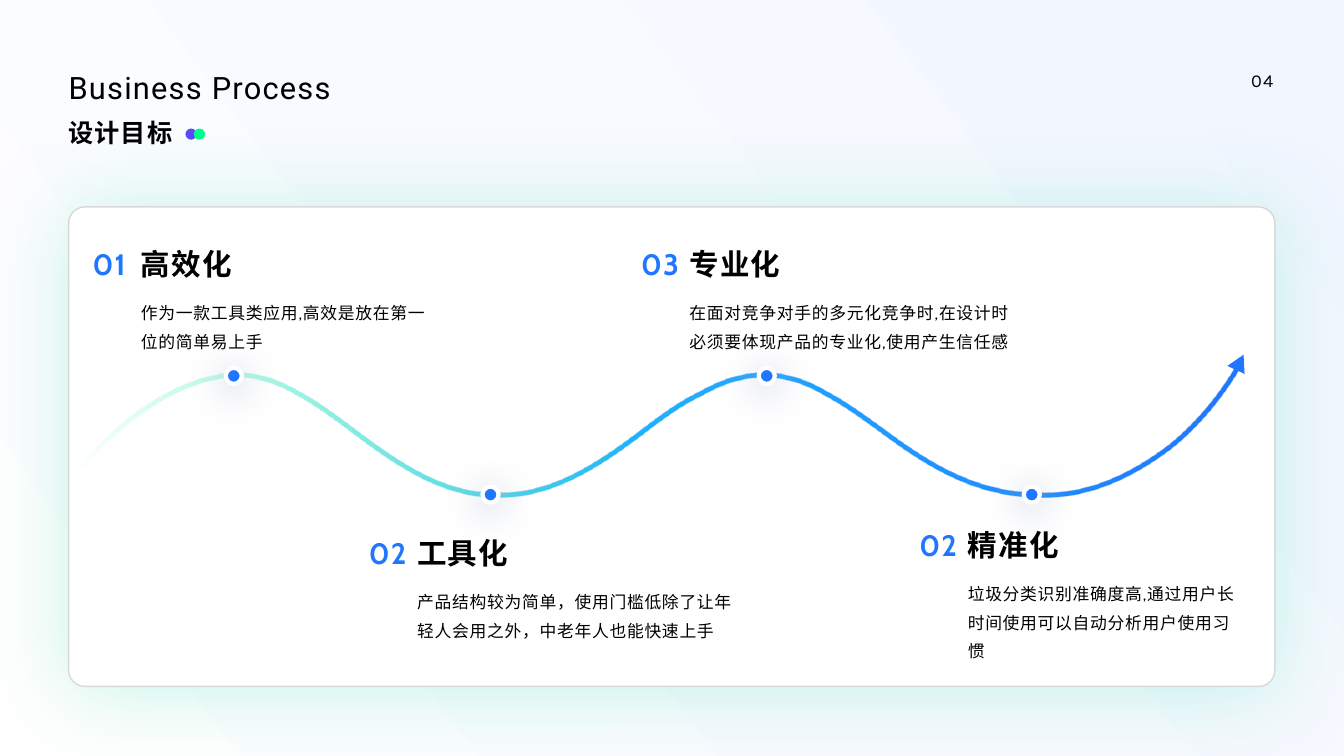
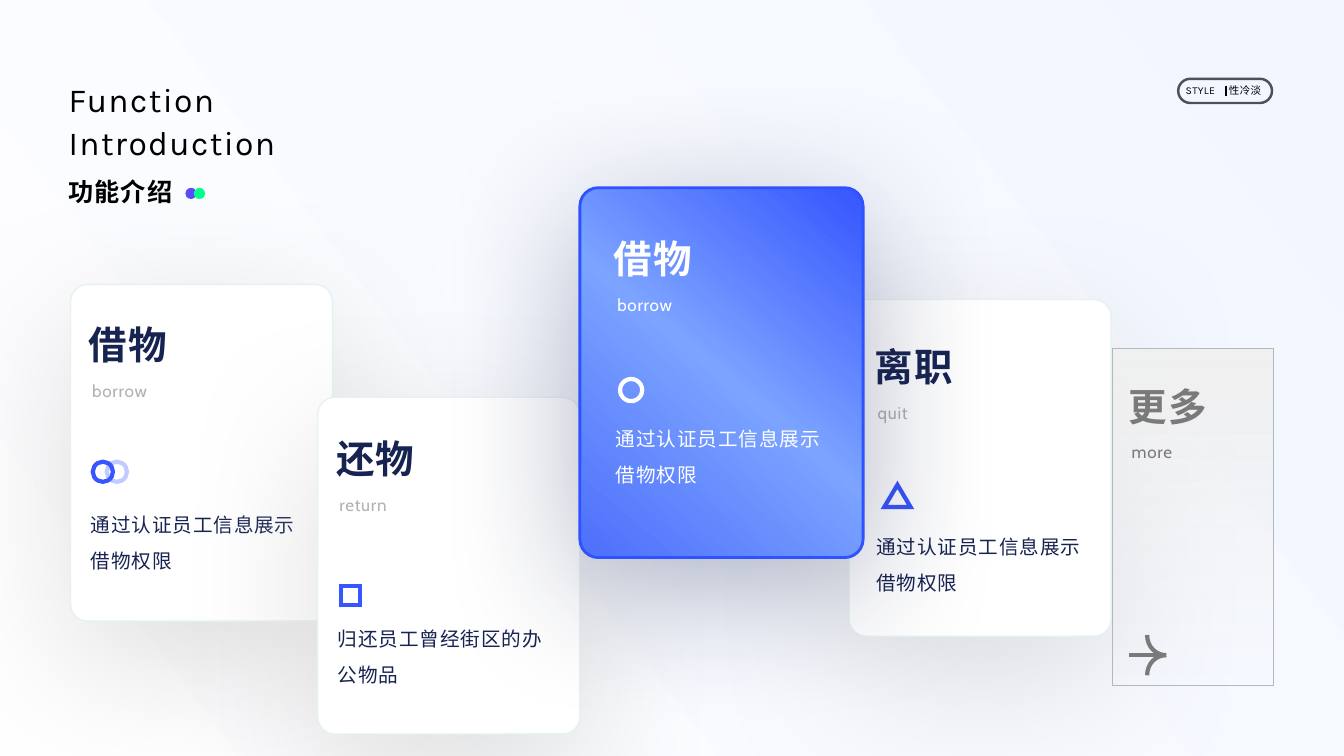
"""Build two slides: a wave of design goals and a row of function cards."""
import math

import pptx
import pptx.dml.color
import pptx.enum.lang
import pptx.enum.shapes
import pptx.enum.text
import pptx.oxml
import pptx.oxml.ns
import pptx.util

Pt = pptx.util.Pt
qn = pptx.oxml.ns.qn
SHAPE = pptx.enum.shapes.MSO_SHAPE
ALIGN = pptx.enum.text.PP_ALIGN

COLORS = {
    "black": "000000", "white": "FFFFFF", "blue": "2176FF", "royal": "3756FF",
    "navy": "172350", "silver": "B1B1B1", "gray": "7A7A7A", "violet": "594AFA",
    "green": "01FF8C", "panel_line": "D9D9D9", "card_line": "E6F1F1",
    "more_line": "B4B8BC", "hero_line": "2F52FF", "pill_line": "4E5059",
    "mint": "5AE0BB", "node_shadow": "ABB8D5", "card_shadow": "BFBFBF",
    "sky": "F1F6FF", "pale": "F8FAFF", "wave_green": "00FF8B",
    "wave_cyan": "20B1FE", "wave_blue": "2075FE", "hero_deep": "3655FF",
    "hero_light": "7BA3FF", "hero_end": "4D6FFC", "more_top": "F1F1F1",
    "more_end": "F2F2F2",
}

STYLES = {
    "process_title": dict(font="Roboto", size=22, spacing=0.9, line=25.5),
    "function_title": dict(font="Karla", size=24, spacing=1, line=30.6),
    "subtitle": dict(font="Cabin", size=18, spacing=0.7, line=21, bold=True),
    "page": dict(font="Karla", size=13, spacing=0.9, line=15),
    "goal": dict(font="Cabin", size=21.1, spacing=0.8, line=24.5, bold=True),
    "goal_text": dict(font="Cabin", size=12, spacing=0.5, line=20.5),
    "card_name": dict(font="Cabin", size=27.5, spacing=1.1, line=32, bold=True),
    "card_label": dict(font="Cabin", size=12.2, spacing=0.5, line=14.5),
    "card_text": dict(font="Cabin", size=14, spacing=0.6, line=25.8),
    "pill": dict(font="Karla", size=7.5, spacing=0.2, line=9),
}

GRADIENTS = {
    "background": (143, [(0, "sky", 100), (50, "pale", 100), (100, "white", 100)]),
    "wave": (355, [(0, "wave_green", 0), (48, "wave_cyan", 100), (100, "wave_blue", 100)]),
    "hero": (130, [(0, "hero_deep", 100), (50, "hero_light", 100), (100, "hero_end", 100)]),
    "more": (90, [(0, "more_top", 100), (50, "more_top", 50), (100, "more_end", 0)]),
}

SHADOWS = {
    "panel": ("mint", 33, 62.2, 3),
    "node": ("node_shadow", 100, 26.9, 4),
    "card": ("card_shadow", 48, 100, 29.3),
    "hero": ("navy", 33, 100, 20.6),
}

GOALS = [
    ("01", "高效化", "作为一款工具类应用,高效是放在第一位的简单易上手", 66.2, 176.4, 26, 207),
    ("02", "工具化", "产品结构较为简单，使用门槛低除了让年轻人会用之外，中老年人也能快速上手",
     263.5, 383, 30, 229),
    ("03", "专业化", "在面对竞争对手的多元化竞争时,在设计时必须要体现产品的专业化,使用产生信任感",
     458, 176.4, 30, 229),
    ("02", "精准化", "垃圾分类识别准确度高,通过用户长时间使用可以自动分析用户使用习惯",
     656.8, 377.2, 30, 199),
]
NODES = [(167, 268.5), (350.4, 353.3), (547.7, 268.5), (737, 353.3)]
NODE_SIZE = 11.5
WAVE = [
    (57.5, 334.5),
    (66, 324), (82, 307), (101.5, 293.5),
    (121.5, 279.5), (146, 268), (170, 268),
    (185, 268), (199.5, 273), (213.8, 281.5),
    (227.5, 288.7), (242, 300), (257, 311),
    (286, 332.6), (317.5, 353.7), (355.7, 353.7),
    (394.6, 353.7), (426.2, 332.6), (455.4, 311),
    (470, 300), (484.5, 288.7), (500, 281.5),
    (515, 273), (529, 268), (545.8, 268),
    (561.6, 268), (576.4, 273), (590.4, 281.5),
    (605, 289), (620, 300.5), (634.7, 311),
    (664.6, 332.6), (697.7, 353.7), (744.5, 353.7),
    (780, 353.7), (810, 338.4), (835.6, 319),
    (859, 300.5), (875.5, 277), (884.2, 262),
]
WAVE_WIDTH = 3.5
WAVE_TIP = [(888.3, 253.4), (889, 267.1), (876.7, 261.4)]

CARD_SIZE = (187.2, 240.5)
PERMISSION = "通过认证员工信息展示借物权限"
CARDS = [
    dict(name="借物", label="borrow", text=PERMISSION, at=(50.4, 203.2), inset=(13, 27.2),
         icons=[(SHAPE.OVAL, 12.9, 99.4, 14.4, 14.4, 30), (SHAPE.OVAL, 2.9, 99.4, 14.4, 14.4, 100)]),
    dict(name="还物", label="return", text="归还员工曾经街区的办公物品", at=(227, 283.8),
         inset=(13, 28), icons=[(SHAPE.RECTANGLE, 3.6, 106.5, 13.8, 13.8, 100)]),
    dict(name="离职", label="quit", text=PERMISSION, at=(606.5, 214), inset=(18, 32.2),
         icons=[(SHAPE.ISOSCELES_TRIANGLE, 7.2, 100.1, 18.7, 15.8, 100)]),
    dict(name="借物", label="borrow", text=PERMISSION, at=(414.2, 134.1), size=(202.3, 264.2),
         inset=(24.3, 35), fill="hero", line=("hero_line", 2), shadow="hero",
         ink=("white", "white", "white", "white"),
         icons=[(SHAPE.OVAL, 4.4, 101.6, 15.8, 15.8, 100)]),
    dict(name="更多", label="more", text="", at=(794.4, 249.2), size=(115.5, 240.5),
         inset=(11.5, 25.1), fill="more", line=("more_line", 0.75), shadow=None, radius=0,
         ink=("gray", "gray", "gray", "gray"), icons=[]),
]
CARD_INK = ("navy", "silver", "navy", "royal")
ARROW = dict(left=806.4, neck=819.4, right=833, middle=468, reach=14.4)


def rgb(name):
    return pptx.dml.color.RGBColor.from_string(COLORS[name])


def add_element(parent, tag, **attributes):
    element = parent.makeelement(qn(tag), {key: str(value) for key, value in attributes.items()})
    parent.append(element)
    return element


def add_color(parent, name, alpha):
    color = add_element(parent, "a:srgbClr", val=COLORS[name])
    if alpha < 100:
        add_element(color, "a:alpha", val=alpha * 1000)


def set_gradient(shape, name):
    angle, stops = GRADIENTS[name]
    shape.fill.gradient()
    gradient = shape._element.spPr.find(qn("a:gradFill"))
    stop_list = gradient.find(qn("a:gsLst"))
    for stop in list(stop_list):
        stop_list.remove(stop)
    for position, color, alpha in stops:
        add_color(add_element(stop_list, "a:gs", pos=position * 1000), color, alpha)
    gradient.find(qn("a:lin")).set("ang", str(angle * 60000))


def paint(shape, fill=None, line=None, shadow=None, line_alpha=100):
    properties = shape._element.spPr
    if fill in GRADIENTS:
        set_gradient(shape, fill)
    elif fill:
        shape.fill.solid()
        shape.fill.fore_color.rgb = rgb(fill)
    else:
        shape.fill.background()
    if line:
        shape.line.color.rgb = rgb(line[0])
        shape.line.width = Pt(line[1])
        outline = properties.find(qn("a:ln"))
        if line_alpha < 100:
            add_element(next(outline.iter(qn("a:srgbClr"))), "a:alpha", val=line_alpha * 1000)
        add_element(outline, "a:miter", lim=800000)
    else:
        shape.line.fill.background()
    shape.shadow.inherit = False
    if shadow:
        color, alpha, blur, distance = SHADOWS[shadow]
        outer = add_element(properties.find(qn("a:effectLst")), "a:outerShdw",
                            blurRad=int(Pt(blur)), dist=int(Pt(distance)),
                            dir=90 * 60000, algn="ctr", rotWithShape=0)
        add_color(outer, color, alpha)


def add_shape(slide, kind, left, top, width, height, radius=None, **look):
    shape = slide.shapes.add_shape(kind, Pt(left), Pt(top), Pt(width), Pt(height))
    if radius is not None:
        shape.adjustments[0] = radius
    paint(shape, **look)
    return shape


def add_outline(slide, points, close=True, curves=0, **look):
    scaled = [(Pt(x), Pt(y)) for x, y in points]
    builder = slide.shapes.build_freeform(*scaled[0], scale=1.0)
    builder.add_line_segments(scaled[1:], close=close)
    shape = builder.convert_to_shape()
    if curves:
        bend(shape, curves)
    paint(shape, **look)


def bend(shape, curves):
    outline = next(shape._element.iter(qn("a:path")))
    for index, line in enumerate(outline.findall(qn("a:lnTo"))):
        position = index % (3 * curves + 1)
        if position == 3 * curves:
            continue
        if position % 3 == 0:
            curve = outline.makeelement(qn("a:cubicBezTo"), {})
            line.addprevious(curve)
        curve.append(line[0])
        outline.remove(line)


def add_line(slide, start, end, color, width):
    ends = [Pt(value) for value in (*start, *end)]
    connector = slide.shapes.add_connector(pptx.enum.shapes.MSO_CONNECTOR.STRAIGHT, *ends)
    connector.line.color.rgb = rgb(color)
    connector.line.width = Pt(width)
    add_element(connector._element.spPr, "a:effectLst")


def thicken(points, width):
    upper, lower = [], []
    for index, (x, y) in enumerate(points):
        before, after = points[max(index - 1, 0)], points[min(index + 1, len(points) - 1)]
        angle = math.atan2(after[1] - before[1], after[0] - before[0])
        dx, dy = math.sin(angle) * width / 2, -math.cos(angle) * width / 2
        upper.append((x + dx, y + dy))
        lower.append((x - dx, y - dy))
    return upper + lower[::-1]


def write(shape, lines, style, color, align=ALIGN.LEFT):
    look = STYLES[style]
    frame = shape.text_frame
    frame.word_wrap = True
    frame.auto_size = pptx.enum.text.MSO_AUTO_SIZE.NONE
    frame.vertical_anchor = pptx.enum.text.MSO_ANCHOR.TOP
    frame.margin_left = frame.margin_top = frame.margin_right = frame.margin_bottom = 0
    paragraph = frame.paragraphs[0]
    paragraph.alignment = align
    paragraph.line_spacing = Pt(look["line"])
    for index, line in enumerate(lines):
        if index:
            paragraph.add_line_break()
        run = paragraph.add_run()
        run.text = line
        font = run.font
        font.name, font.size, font.bold = look["font"], Pt(look["size"]), look.get("bold", False)
        font.color.rgb = rgb(color)
        font.language_id = pptx.enum.lang.MSO_LANGUAGE_ID.SIMPLIFIED_CHINESE
        run._r.get_or_add_rPr().set("spc", str(round(look["spacing"] * 100)))


def add_text(slide, text, style, left, top, width, height, color="black", align=ALIGN.LEFT):
    box = slide.shapes.add_textbox(Pt(left), Pt(top), Pt(width), Pt(height))
    write(box, [text], style, color, align)


def add_titled_slide(presentation, lines, style, top, width, height, subtitle, subtitle_top):
    slide = presentation.slides.add_slide(presentation.slide_layouts[5])
    title = slide.shapes.title
    backdrop = add_shape(slide, SHAPE.RECTANGLE, 0, 0, 960, 540, fill="background")
    title._element.addprevious(backdrop._element)
    title.left, title.top, title.width, title.height = Pt(49), Pt(top), Pt(width), Pt(height)
    write(title, lines, style, "black")
    add_text(slide, subtitle, "subtitle", 49, subtitle_top, 76, 24)
    for left, color in ((132.5, "violet"), (138.5, "green")):
        add_shape(slide, SHAPE.OVAL, left, subtitle_top + 7.6, 8, 8, fill=color)
    return slide


def build_process(presentation):
    slide = add_titled_slide(presentation, ["Business Process"], "process_title",
                             49.7, 296, 36.7, "设计目标", 84.2)
    add_text(slide, "04", "page", 891, 50.1, 21, 17.3, align=ALIGN.CENTER)
    add_shape(slide, SHAPE.ROUNDED_RECTANGLE, 49, 147.8, 861.6, 342.5, radius=0.034,
              fill="white", line=("panel_line", 1), shadow="panel")
    add_outline(slide, thicken(WAVE, WAVE_WIDTH), curves=len(WAVE) // 3, fill="wave")
    add_outline(slide, WAVE_TIP, fill="blue")
    for number, name, text, left, top, number_width, width in GOALS:
        add_text(slide, number, "goal", left, top, number_width, 28, "blue")
        add_text(slide, name, "goal", left + 34.5, top, 68, 28)
        add_text(slide, text, "goal_text", left + 34.5, top + 33.7, width, 41)
    for x, y in NODES:
        add_shape(slide, SHAPE.OVAL, x - NODE_SIZE / 2, y - NODE_SIZE / 2, NODE_SIZE, NODE_SIZE,
                  fill="blue", line=("white", 3), shadow="node")


def add_card(slide, card):
    radius = card.get("radius", 0.065)
    add_shape(slide, SHAPE.ROUNDED_RECTANGLE if radius else SHAPE.RECTANGLE,
              *card["at"], *card.get("size", CARD_SIZE), radius=radius or None,
              fill=card.get("fill", "white"), line=card.get("line", ("card_line", 1)),
              shadow=card.get("shadow", "card"))
    left, top = (edge + inset for edge, inset in zip(card["at"], card["inset"]))
    name_ink, label_ink, text_ink, icon_ink = card.get("ink", CARD_INK)
    add_text(slide, card["name"], "card_name", left, top, 60, 36.7, name_ink)
    add_text(slide, card["label"], "card_label", left + 2.4, top + 41.2, 46, 16, label_ink)
    for kind, dx, dy, width, height, alpha in card["icons"]:
        add_shape(slide, kind, left + dx, top + dy, width, height,
                  line=(icon_ink, 3), line_alpha=alpha)
    if card["text"]:
        add_text(slide, card["text"], "card_text", left + 1.4, top + 127.1, 152, 51, text_ink)


def build_functions(presentation):
    slide = add_titled_slide(presentation, ["Function", "Introduction"], "function_title",
                             54.8, 158.4, 61.2, "功能介绍", 126.6)
    for card in CARDS:
        add_card(slide, card)
    neck, right, middle = ARROW["neck"], ARROW["right"], ARROW["middle"]
    add_line(slide, (ARROW["left"], middle), (right, middle), "gray", 3)
    for reach in (-ARROW["reach"], ARROW["reach"]):
        barb = [(neck, middle + reach), (neck, middle + reach * 0.4), (neck + 6.5, middle),
                (right, middle)]
        add_outline(slide, barb, close=False, curves=1, line=("gray", 3))
    add_line(slide, (875.5, 61.2), (875.5, 68.4), "black", 1.5)
    add_text(slide, "STYLE", "pill", 846.9, 59.8, 26, 10)
    add_text(slide, "性冷淡", "pill", 877.9, 59.8, 25, 10)
    add_shape(slide, SHAPE.ROUNDED_RECTANGLE, 841.6, 56.3, 67, 17.3, radius=0.5,
              line=("pill_line", 1.75))


def main():
    presentation = pptx.Presentation()
    presentation.slide_width, presentation.slide_height = Pt(960), Pt(540)
    build_process(presentation)
    build_functions(presentation)
    presentation.save("out.pptx")


if __name__ == "__main__":
    main()
